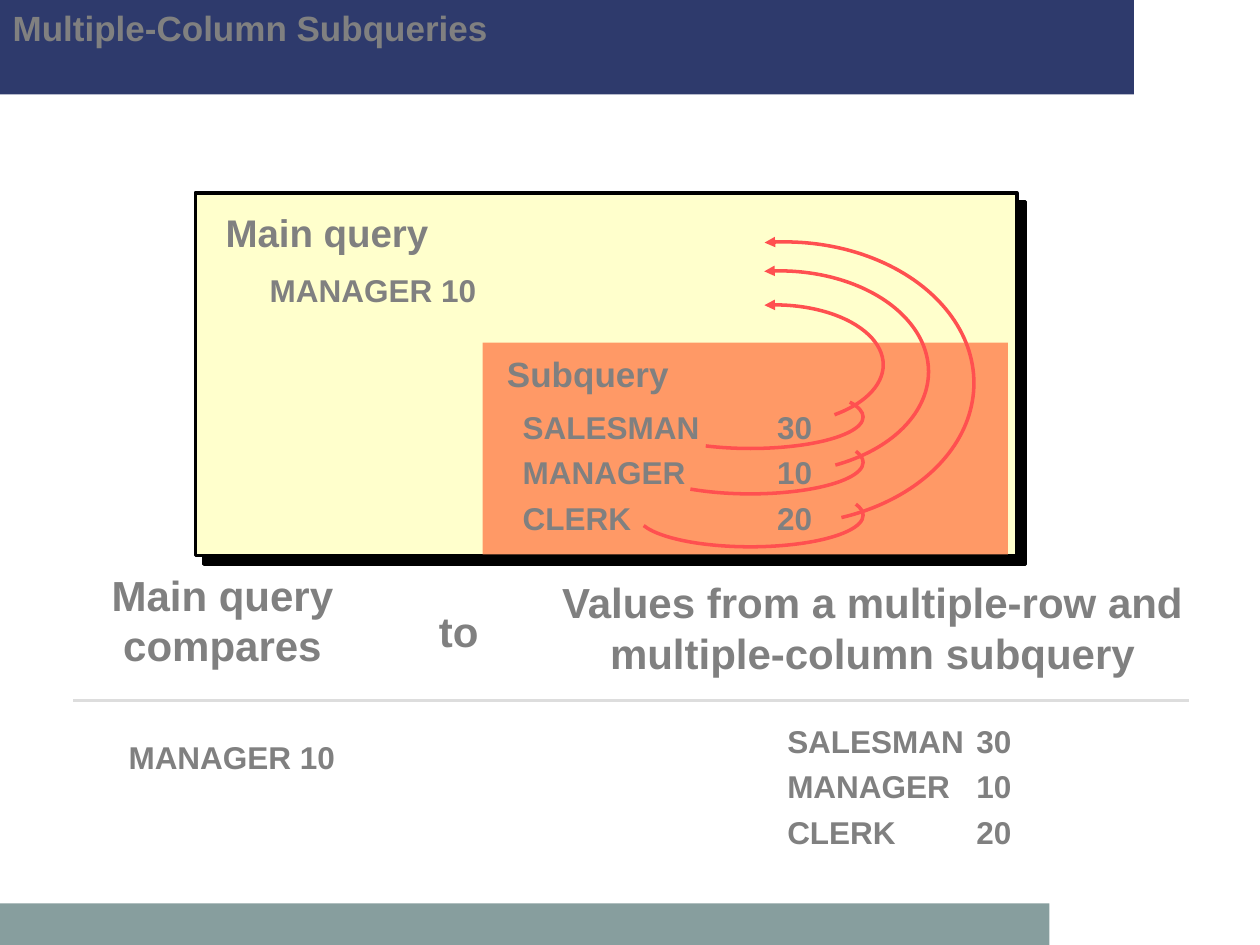
from lxml import etree
from pptx import Presentation
from pptx import util as u
from pptx.dml.color import RGBColor
from pptx.enum import shapes, text
from pptx.oxml import ns

NAVY = RGBColor(0x2E, 0x3A, 0x6C)
TEAL = RGBColor(0x87, 0x9E, 0x9E)
CREAM = RGBColor(0xFF, 0xFF, 0xCC)
ORANGE = RGBColor(0xFF, 0x99, 0x66)
BLACK = RGBColor(0, 0, 0)
RED = RGBColor(0xFF, 0x50, 0x50)
GRAY = RGBColor(0x80, 0x80, 0x80)
SILVER = RGBColor(0xDD, 0xDD, 0xDD)

prs = Presentation()
prs.slide_width, prs.slide_height = u.Inches(10), u.Inches(7.5)
COL = prs.slide_width / 10
ROW = prs.slide_height / 7.5
slide = prs.slides.add_slide(prs.slide_layouts[5])


def grid(*lengths):
    """Turn alternating column and row counts into slide lengths."""
    return [int(n * (ROW if i % 2 else COL)) for i, n in enumerate(lengths)]


def write(frame, words, size, align, spacing=1.0, tab=None):
    frame.word_wrap = True
    frame.auto_size = text.MSO_AUTO_SIZE.NONE
    frame.vertical_anchor = text.MSO_ANCHOR.TOP
    paragraph = frame.paragraphs[0]
    paragraph.text = words
    paragraph.alignment = align
    if tab:
        stops = etree.SubElement(paragraph._p.get_or_add_pPr(), ns.qn("a:tabLst"))
        etree.SubElement(stops, ns.qn("a:tab"), pos=str(int(tab * COL)), algn="l")
    paragraph.line_spacing = spacing
    for run in paragraph.runs:
        for name, value in {"name": "Arial", "size": u.Pt(size), "bold": True}.items():
            setattr(run.font, name, value)
        run.font.color.rgb = GRAY


# Header and footer bands, then the query panels
panels = []
for box, color in [
    ((0, 0, 9, 0.75), NAVY),
    ((0, 7.17, 8.33, 0.33), TEAL),
    ((1.55, 1.53, 6.52, 2.88), CREAM),
    ((3.83, 2.72, 4.17, 1.68), ORANGE),
]:
    panel = slide.shapes.add_shape(shapes.MSO_SHAPE.RECTANGLE, *grid(*box))
    panel.shadow.inherit = False
    panel.fill.solid()
    panel.fill.fore_color.rgb = color
    panel.line.fill.background()
    panels.append(panel)

main_panel = panels[2]
main_panel.line.color.rgb = BLACK
main_panel.line.width = u.Pt(2)
effects = main_panel._element.spPr.find(ns.qn("a:effectLst"))
shadow = etree.SubElement(effects, ns.qn("a:outerShdw"), blurRad="0",
                          dist=str(u.Pt(7.1)), dir="2700000", algn="ctr", rotWithShape="0")
etree.SubElement(shadow, ns.qn("a:srgbClr"), val=str(BLACK))

# The title sits above the header band
title = slide.shapes.title
slide.shapes._spTree.append(title._element)
title.left, title.top, title.width, title.height = grid(0, 0, 7.98, 0.75)
write(title.text_frame, "Multiple-Column Subqueries", 20, text.PP_ALIGN.LEFT)

# Labels: box, words, size, alignment, line spacing, tab stop
LEFT, CENTER = text.PP_ALIGN.LEFT, text.PP_ALIGN.CENTER
JOBS = "SALESMAN\t30\vMANAGER\t10\vCLERK\t20"
for box, *content in [
    ((1.69, 1.54, 1.81, 0.54), "Main query", 22, CENTER, 1.2),
    ((2.04, 2.04, 1.84, 0.46), "MANAGER 10", 18, CENTER, 1.2),
    ((3.92, 2.68, 1.49, 0.5), "Subquery", 20, CENTER, 1.2),
    ((4.05, 3.13, 2.53, 1.73), JOBS, 18, LEFT, 1.2, 2.02),
    ((0.59, 4.47, 2.35, 0.9), "Main query\vcompares", 24, CENTER),
    ((0.92, 5.75, 1.84, 0.46), "MANAGER 10", 18, CENTER, 1.2),
    ((4.34, 4.53, 5.17, 0.9), "Values from a multiple-row and\vmultiple-column subquery", 24, CENTER),
    ((6.15, 5.62, 2, 1.73), JOBS, 18, LEFT, 1.2, 1.5),
    ((3.38, 4.68, 0.52, 0.58), "to", 24, CENTER, 1.2),
]:
    label = slide.shapes.add_textbox(*grid(*box))
    write(label.text_frame, *content)

# Arcs run clockwise: ellipse box, first and last angle, arrow at the start
for box, first, last, arrow in [
    ((4.72, 1.92, 3.01, 2.24), 262, 67, True),
    ((5, 2.15, 2.37, 1.6), 261.5, 59, True),
    ((5.29, 2.42, 1.72, 0.95), 260, 40, True),
    ((5.06, 3.42, 1.79, 0.5), 354, 156, False),
    ((5.06, 3.84, 1.79, 0.5), 354, 174.5, False),
    ((5.06, 3.06, 1.79, 0.5), 351.5, 147, False),
]:
    arc = slide.shapes.add_shape(shapes.MSO_SHAPE.ARC, *grid(*box))
    for i, angle in enumerate((first, last)):
        arc.adjustments[i] = angle * 0.6  # 60000 units to the degree, stored per 100000
    arc.shadow.inherit = False
    arc.fill.background()
    arc.line.color.rgb = RED
    arc.line.width = u.Pt(2)
    if arrow:
        etree.SubElement(arc.line._get_or_add_ln(), ns.qn("a:headEnd"), type="triangle")

divider = slide.shapes.add_connector(shapes.MSO_CONNECTOR.STRAIGHT, *grid(0.58, 5.56, 9.44, 5.56))
divider.line.color.rgb = SILVER
divider.line.width = u.Pt(2)
etree.SubElement(divider._element.spPr, ns.qn("a:effectLst"))

prs.save("out.pptx")
